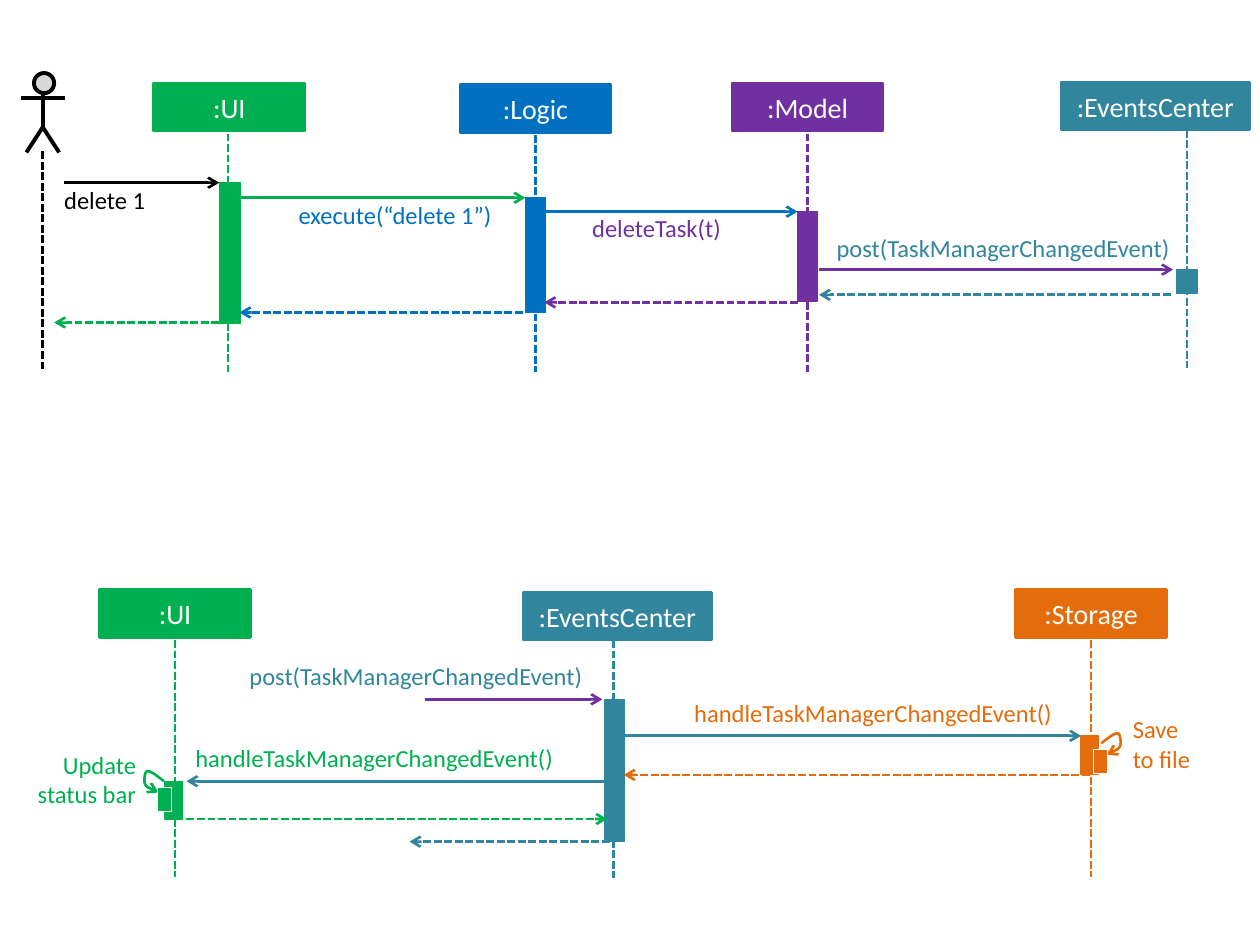
from lxml import etree
from pptx import Presentation
from pptx import util as u
from pptx.dml.color import RGBColor
from pptx.enum import dml, shapes, text
from pptx.oxml import ns

BLACK = RGBColor(0x00, 0x00, 0x00)
WHITE = RGBColor(0xFF, 0xFF, 0xFF)
GREY = RGBColor(0xD9, 0xD9, 0xD9)
GREEN = RGBColor(0x00, 0xB0, 0x50)
BLUE = RGBColor(0x00, 0x70, 0xC0)
PURPLE = RGBColor(0x70, 0x30, 0xA0)
TEAL = RGBColor(0x31, 0x85, 0x9C)
ORANGE = RGBColor(0xE4, 0x6C, 0x0A)


class SequenceDiagram:
    FONT = "Calibri"
    HEADER_SIZE, LABEL_SIZE = 16, 14
    STROKE, THIN, THICK = 1.5, 0.75, 2.25
    HEADER_HEIGHT = 0.38

    def __init__(self, page):
        self.page = page

    def stroke(self, shape, color, width, dashed=False, arrow=False):
        shape.line.color.rgb = color
        shape.line.width = u.Pt(width)
        if dashed:
            shape.line.dash_style = dml.MSO_LINE.SQUARE_DOT
        if arrow:
            outline = shape.element.spPr.find(ns.qn("a:ln"))
            etree.SubElement(outline, ns.qn("a:tailEnd"), type="arrow")

    def fill_text(self, frame, words, size, color, align):
        para = frame.paragraphs[0]
        para.text = words
        para.alignment = align
        for span in para.runs:
            span.font.color.rgb = color
            for key, value in {"name": self.FONT, "size": u.Pt(size)}.items():
                setattr(span.font, key, value)

    def box(self, left, top, width, height, fill, edge, weight,
            kind=shapes.MSO_SHAPE.RECTANGLE):
        box = self.page.shapes.add_shape(
            kind, *map(u.Inches, (left, top, width, height)))
        box.shadow.inherit = False
        box.fill.solid()
        box.fill.fore_color.rgb = fill
        self.stroke(box, edge, weight)
        return box

    def line(self, x1, y1, x2, y2, color, width=STROKE, dashed=False,
             arrow=False):
        line = self.page.shapes.add_connector(
            shapes.MSO_CONNECTOR.STRAIGHT, *map(u.Inches, (x1, y1, x2, y2)))
        self.stroke(line, color, width, dashed, arrow)
        etree.SubElement(line.element.spPr, ns.qn("a:effectLst"))

    def message(self, x1, x2, y, color, reply=False):
        self.line(x1, y, x2, y, color, dashed=reply, arrow=True)

    def outline(self, points, color, width, arrow=False):
        start, *rest = [(u.Inches(x), u.Inches(y)) for x, y in points]
        builder = self.page.shapes.build_freeform(*start)
        builder.add_line_segments(rest, close=False)
        shape = builder.convert_to_shape()
        shape.shadow.inherit = False
        shape.fill.background()
        self.stroke(shape, color, width, arrow=arrow)

    def label(self, left, top, width, words, color, height=0.24,
              align=text.PP_ALIGN.LEFT):
        box = self.page.shapes.add_textbox(
            *map(u.Inches, (left, top, width, height)))
        layout = {"word_wrap": True,
                  "auto_size": text.MSO_AUTO_SIZE.SHAPE_TO_FIT_TEXT,
                  "margin_left": 0, "margin_right": 0,
                  "margin_top": 0, "margin_bottom": 0}
        for key, value in layout.items():
            setattr(box.text_frame, key, value)
        self.fill_text(box.text_frame, words, self.LABEL_SIZE, color, align)

    def participant(self, name, color, left, top, width, axis, life, bar):
        """Header, dashed lifeline and activation bar."""
        header = self.box(left, top, width, self.HEADER_HEIGHT, color, color,
                          self.STROKE)
        header.text_frame.vertical_anchor = text.MSO_ANCHOR.MIDDLE
        self.fill_text(header.text_frame, name, self.HEADER_SIZE, WHITE,
                       text.PP_ALIGN.CENTER)
        self.line(axis, life[0], axis, life[1], color, dashed=True)
        self.box(*bar, color, color, self.THIN)

    def actor(self):
        self.box(0.27, 0.58, 0.16, 0.16, GREY, BLACK, self.THICK,
                 shapes.MSO_SHAPE.FLOWCHART_CONNECTOR)
        self.line(0.34, 0.74, 0.34, 1.02, BLACK, self.THICK)
        self.outline([(0.21, 1.21), (0.34, 1.01), (0.47, 1.21)], BLACK,
                     self.THICK)
        self.line(0.17, 0.78, 0.52, 0.78, BLACK, self.THICK)
        self.line(0.34, 1.2, 0.34, 2.95, BLACK, dashed=True)

    def self_call(self, left, top, color, side):
        """Looping arrow and nested bar; side is -1 for left, 1 for right."""
        curves = [[(0.05, -0.05), (0, -0.09), (-0.05, -0.13), (-0.08, -0.13)],
                  [(-0.08, -0.13), (-0.1, -0.13), (-0.11, -0.06),
                   (-0.1, -0.03)],
                  [(-0.1, -0.03), (-0.09, 0), (-0.04, 0.02), (0.01, 0.04)]]
        half = 0.11 / 2
        points = [(left + half - side * (x - half), top + y)
                  for curve in curves for x, y in self.bezier(curve)]
        self.outline(points, color, self.STROKE, arrow=True)
        self.box(left, top, 0.11, 0.19, color, WHITE, self.THIN)

    @staticmethod
    def bezier(curve, steps=8):
        for step in range(steps + 1):
            t = step / steps
            weights = ((1 - t) ** 3, 3 * t * (1 - t) ** 2,
                       3 * t * t * (1 - t), t ** 3)
            yield tuple(sum(w * point[axis] for w, point in zip(weights, curve))
                        for axis in (0, 1))


def main():
    deck = Presentation()
    deck.slide_width, deck.slide_height = u.Inches(10), u.Inches(7.5)
    diagram = SequenceDiagram(deck.slides.add_slide(deck.slide_layouts[6]))

    # Participants: name, color, header, axis, lifeline span, activation bar
    diagram.actor()
    for row in (
        (":UI", GREEN, 1.22, 0.66, 1.2, 1.81, (1.06, 2.95),
         (1.74, 1.45, 0.17, 1.12)),
        (":Logic", BLUE, 3.65, 0.67, 1.2, 4.25, (1.07, 2.95),
         (4.17, 1.57, 0.16, 0.91)),
        (":Model", PURPLE, 5.81, 0.66, 1.2, 6.41, (1.06, 2.95),
         (6.33, 1.68, 0.16, 0.71)),
        (":EventsCenter", TEAL, 8.42, 0.65, 1.5, 9.42, (1.03, 2.92),
         (9.34, 2.14, 0.16, 0.19)),
        (":UI", GREEN, 0.79, 4.68, 1.2, 1.39, (5.08, 6.96),
         (1.31, 6.2, 0.14, 0.3)),
        (":EventsCenter", TEAL, 4.15, 4.7, 1.5, 4.87, (5.08, 6.97),
         (4.8, 5.55, 0.16, 1.13)),
        (":Storage", ORANGE, 8.06, 4.68, 1.2, 8.66, (5.08, 6.96),
         (8.58, 5.84, 0.14, 0.31)),
    ):
        diagram.participant(*row)

    # Calls
    for row in ((0.51, 1.74, 1.45, BLACK), (1.9, 4.17, 1.57, GREEN),
                (4.32, 6.33, 1.68, BLUE), (6.5, 9.31, 2.14, PURPLE),
                (3.37, 4.78, 5.55, PURPLE), (4.95, 8.58, 5.84, TEAL),
                (4.82, 1.48, 6.2, TEAL)):
        diagram.message(*row)

    # Replies
    for row in ((9.29, 6.5, 2.34, TEAL), (6.33, 4.32, 2.4, PURPLE),
                (4.15, 1.9, 2.48, BLUE), (1.74, 0.43, 2.56, GREEN),
                (8.65, 4.95, 6.15, ORANGE), (1.48, 4.82, 6.5, GREEN),
                (4.84, 3.25, 6.68, TEAL)):
        diagram.message(*row, reply=True)

    # Message labels
    post = "post(TaskManagerChangedEvent)"
    handle = "handleTaskManagerChangedEvent()"
    for row in ((0.51, 1.47, 0.94, "delete 1", BLACK),
                (2.37, 1.59, 1.56, "execute(“delete 1”)", BLUE),
                (4.7, 1.69, 1.56, "deleteTask(t)", PURPLE),
                (6.64, 1.85, 2.67, post, TEAL),
                (1.98, 5.25, 2.97, post, TEAL),
                (5.51, 5.54, 2.91, handle, ORANGE),
                (1.55, 5.9, 2.91, handle, GREEN)):
        diagram.label(*row)

    # Self calls
    diagram.self_call(1.25, 6.25, GREEN, -1)
    diagram.label(0.21, 5.95, 0.87, "Update status bar", GREEN, 0.47,
                  text.PP_ALIGN.RIGHT)
    diagram.self_call(8.68, 5.95, ORANGE, 1)
    diagram.label(8.99, 5.67, 0.59, "Save \nto file", ORANGE, 0.47)

    deck.save("out.pptx")


if __name__ == "__main__":
    main()
